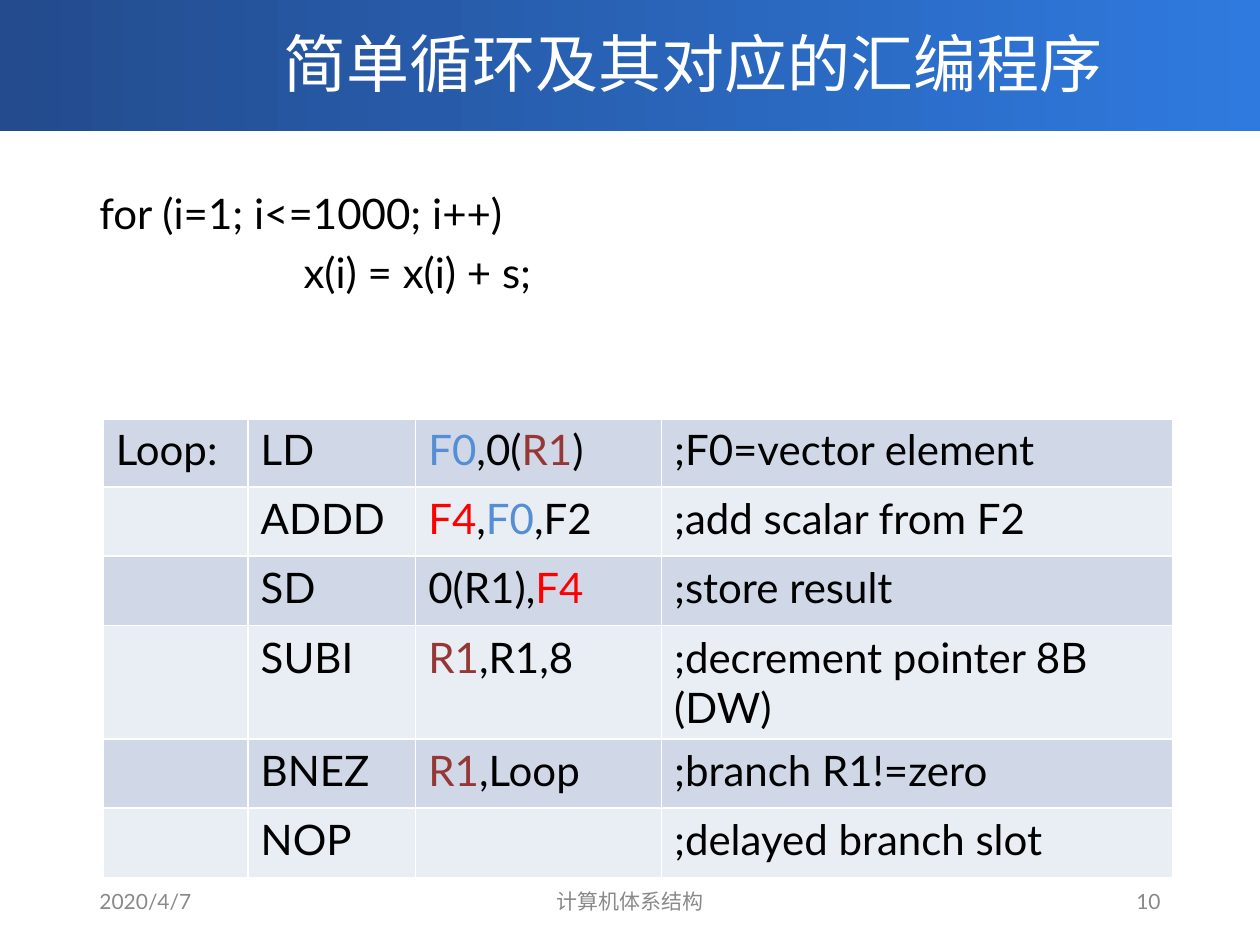
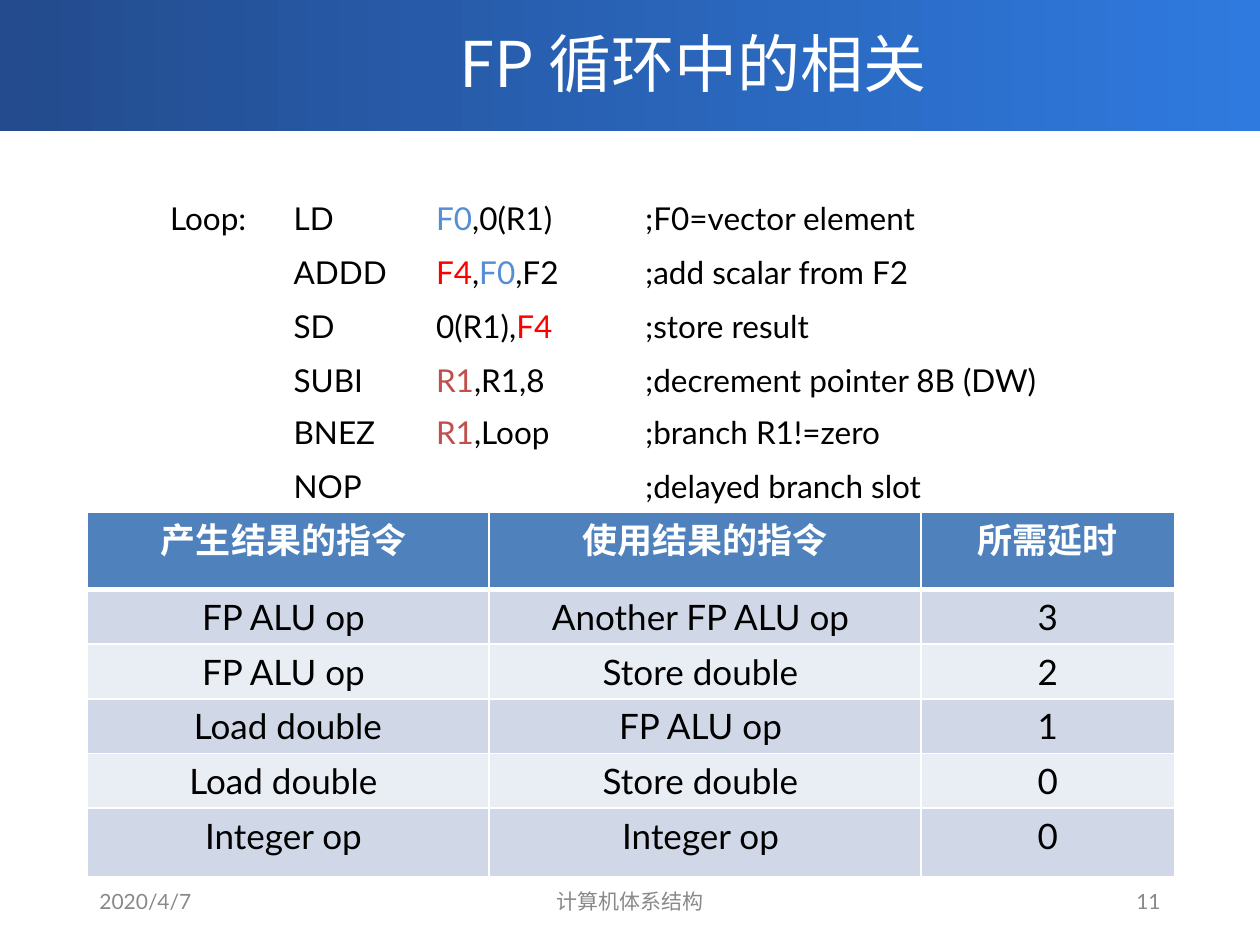
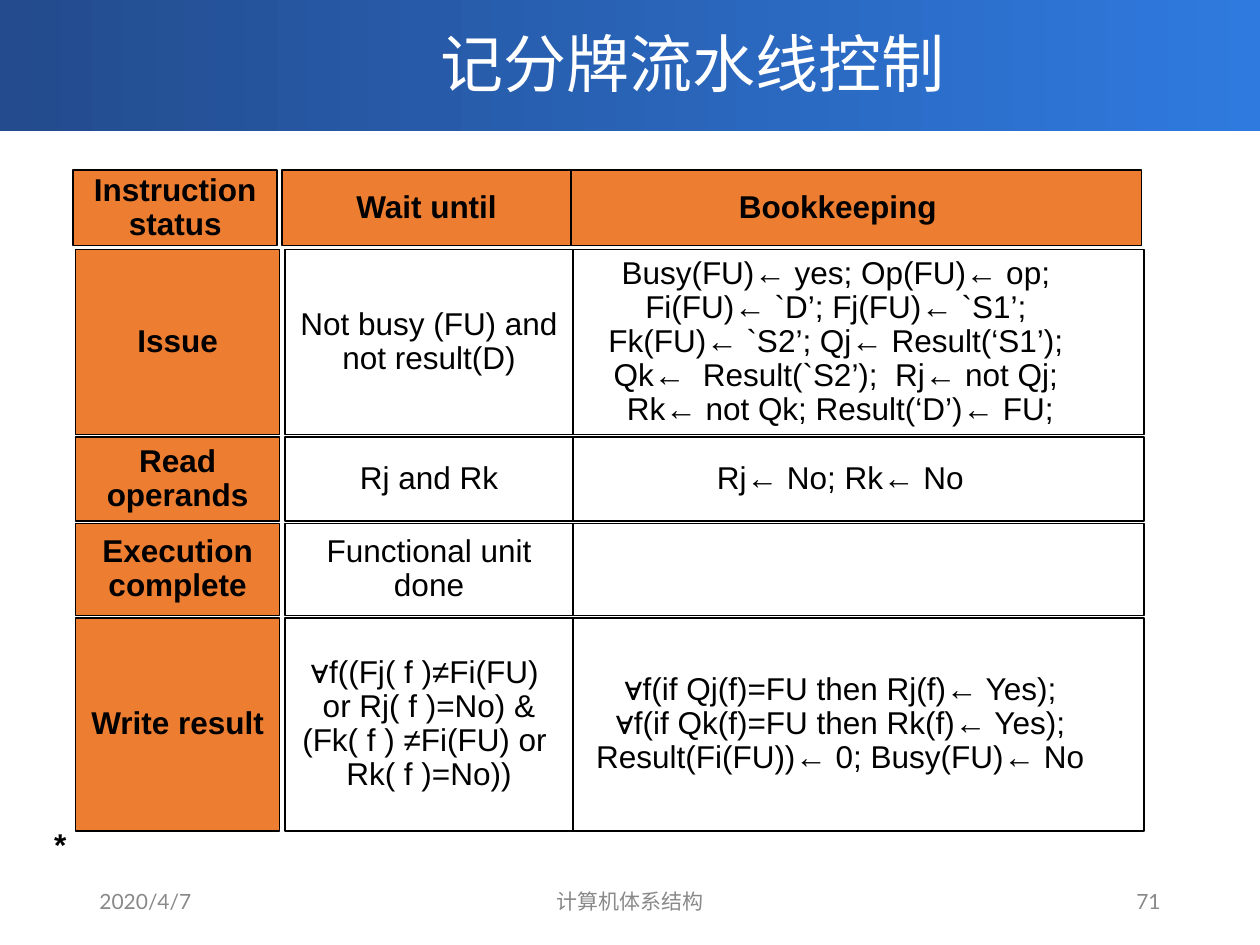
import dataclasses
import typing

import pptx
import pptx.dml.color
import pptx.enum.shapes
import pptx.enum.text
import pptx.oxml.ns
import pptx.util
from lxml import etree

Pt = pptx.util.Pt
Align = pptx.enum.text.PP_ALIGN
Anchor = pptx.enum.text.MSO_ANCHOR


@dataclasses.dataclass(frozen=True)
class Theme:
    band_start: str = "234B8D"
    band_end: str = "2F7ADF"
    white: str = "FFFFFF"
    ink: str = "000000"
    footer: str = "898989"
    header: str = "4F81BD"
    stripes: tuple = ("D0D8E8", "E9EDF4")
    label: str = "ED7D31"
    loaded: str = "558ED5"
    added: str = "FF0000"
    pointer_dark: str = "953735"
    pointer_light: str = "C0504D"
    title_font: str = "Noto Sans CJK SC"
    body_font: str = "Lato"
    board_font: str = "Arial"
    title_size: int = 36
    code_size: int = 24
    table_size: int = 20
    small_size: int = 18
    footer_size: int = 12


class Box(typing.NamedTuple):
    left: float
    top: float
    width: float
    height: float

    def lengths(self):
        return [Pt(value) for value in self]


THEME = Theme()
WIDTH, HEIGHT = 720, 540


def rgb(value):
    return pptx.dml.color.RGBColor.from_string(value)


def set_values(target, values):
    for name, value in values.items():
        setattr(target, name, value)


def style(size, font=THEME.body_font, color=THEME.ink, bold=False, **paragraph_values):
    return {"size": size, "font": font, "color": color, "bold": bold,
            "paragraph": paragraph_values}


def add_run(paragraph, text, color, look):
    run = paragraph.add_run()
    run.text = text
    set_values(run.font, {"size": Pt(look["size"]), "name": look["font"], "bold": look["bold"]})
    run.font.color.rgb = rgb(color)
    east_asian = etree.SubElement(run._r.get_or_add_rPr(), pptx.oxml.ns.qn("a:ea"))
    east_asian.set("typeface", look["font"])


def write(paragraph, content, look):
    set_values(paragraph, look["paragraph"])
    parts = [(content, look["color"])] if isinstance(content, str) else content
    for text, color in parts:
        for index, line in enumerate(text.split("\n")):
            if index:
                paragraph.add_line_break()
            if line:
                add_run(paragraph, line, color, look)


def add_text(slide, box, lines, look, anchor=Anchor.TOP):
    frame = slide.shapes.add_textbox(*box.lengths()).text_frame
    set_values(frame, {"word_wrap": True, "vertical_anchor": anchor})
    for index, line in enumerate(lines):
        paragraph = frame.add_paragraph() if index else frame.paragraphs[0]
        write(paragraph, line, look)
        if index:
            paragraph.space_before = Pt(look["size"] * 0.2)


def add_rectangle(slide, box):
    shape = slide.shapes.add_shape(pptx.enum.shapes.MSO_SHAPE.RECTANGLE, *box.lengths())
    shape.shadow.inherit = False
    return shape


def add_band(slide, box, title):
    band = add_rectangle(slide, box)
    band.line.fill.background()
    band.fill.gradient()
    band.fill.gradient_angle = 0
    for stop, color in zip(band.fill.gradient_stops, (THEME.band_start, THEME.band_end)):
        stop.color.rgb = rgb(color)
    title_box = Box(box.left + 72, 0, box.width - 72, 71.3)
    look = style(THEME.title_size, THEME.title_font, THEME.white, alignment=Align.CENTER)
    add_text(slide, title_box, [title], look, Anchor.MIDDLE)


def add_footer(slide, box, number):
    side, middle = 162, 243.4
    fields = (
        ("2020/4/7", 0, side, Align.LEFT),
        ("计算机体系结构", (box.width - middle) / 2, middle, Align.CENTER),
        (number, box.width - side, side, Align.RIGHT),
    )
    for text, offset, width, alignment in fields:
        look = style(THEME.footer_size, color=THEME.footer, alignment=alignment)
        add_text(slide, Box(box.left + offset, box.top, width, box.height), [text], look,
                 Anchor.MIDDLE)


def new_slide(presentation, title, number):
    slide = presentation.slides.add_slide(presentation.slide_layouts[6])
    add_band(slide, Box(0, -2.2, WIDTH, 77), title)
    add_footer(slide, Box(49.7, 500.4, 620.6, 28.8), number)
    return slide


def set_borders(cell, bottom_width):
    properties = cell._tc.get_or_add_tcPr()
    for side, width in (("L", 1), ("R", 1), ("T", 1), ("B", bottom_width)):
        line = etree.SubElement(properties, pptx.oxml.ns.qn(f"a:ln{side}"), w=str(Pt(width)))
        fill = etree.SubElement(line, pptx.oxml.ns.qn("a:solidFill"))
        etree.SubElement(fill, pptx.oxml.ns.qn("a:srgbClr"), val=THEME.white)


def add_grid(slide, left, top, widths, heights, rows, looks, fills):
    box = Box(left, top, sum(widths), sum(heights))
    table = slide.shapes.add_table(len(rows), len(widths), *box.lengths()).table
    set_values(table, {"first_row": False, "horz_banding": False})
    for column, width in zip(table.columns, widths):
        column.width = Pt(width)
    for index, (row, height) in enumerate(zip(rows, heights)):
        table.rows[index].height = Pt(height)
        for cell, content in zip(table.rows[index].cells, row):
            set_borders(cell, 1 if index else 3)
            if fills[index]:
                cell.fill.solid()
                cell.fill.fore_color.rgb = rgb(fills[index])
            else:
                cell.fill.background()
            write(cell.text_frame.paragraphs[0], content, looks[min(index, 1)])


def striped(header, count):
    return [header] + [THEME.stripes[index % 2] for index in range(count)]


def loop_rows(pointer, load_pointer):
    ink = THEME.ink
    loaded, added = ("F0", THEME.loaded), ("F4", THEME.added)
    return [
        ("", "", "", ""),
        ("Loop:", "LD", [loaded, (",0(", ink), ("R1", load_pointer), (")", ink)],
         ";F0=vector element"),
        ("", "ADDD", [added, (",", ink), loaded, (",F2", ink)], ";add scalar from F2"),
        ("", "SD", [("0(R1),", ink), added], ";store result"),
        ("", "SUBI", [("R1", pointer), (",R1,8", ink)], ";decrement pointer 8B (DW)"),
        ("", "BNEZ", [("R1", pointer), (",Loop", ink)], ";branch R1!=zero"),
        ("", "NOP", "", ";delayed branch slot"),
    ]


def build_loop_slide(presentation):
    slide = new_slide(presentation, "简单循环及其对应的汇编程序", "10")
    look = style(THEME.code_size)
    source = ["for (i=1; i<=1000; i++)", "                   x(i) = x(i) + s;"]
    add_text(slide, Box(49.7, 103.7, 638, 82.8), source, look)
    rows = loop_rows(THEME.pointer_dark, THEME.pointer_dark)
    heights = [39.6] * 4 + [43.2] + [39.6] * 2
    add_grid(slide, 59, 199, [82.8, 95.8, 140.4, 292.3], heights, rows, [look, look],
             striped(None, 6))


def build_dependence_slide(presentation):
    slide = new_slide(presentation, "FP 循环中的相关", "11")
    code = style(THEME.small_size)
    heights = [12.2] + [31] * 3 + [29.5] + [31] * 2
    add_grid(slide, 90, 81.4, [70.6, 81.4, 119.5, 248.4], heights,
             loop_rows(THEME.pointer_light, THEME.ink), [code, code], [None] * 7)
    delays = [
        ("产生结果的指令 ", "使用结果的指令", "所需延时"),
        ("FP ALU op ", "Another FP ALU op ", "3"),
        ("FP ALU op ", "Store double ", "2"),
        ("Load double", "FP ALU op ", "1"),
        ("Load double ", "Store double ", "0"),
        ("Integer op ", "Integer op ", "0"),
    ]
    looks = [
        style(THEME.table_size, color=THEME.white, bold=True, alignment=Align.CENTER),
        style(THEME.table_size, alignment=Align.CENTER),
    ]
    add_grid(slide, 49.7, 293, [229.7, 247, 144.7], [43.9] + [30.2] * 4 + [38.9], delays, looks,
             striped(THEME.header, 5))


def add_board_cell(slide, box, text, is_label):
    shape = add_rectangle(slide, box)
    shape.fill.solid()
    shape.fill.fore_color.rgb = rgb(THEME.label if is_label else THEME.white)
    shape.line.color.rgb = rgb(THEME.ink)
    shape.line.width = Pt(1)
    set_values(shape.text_frame, {"word_wrap": True, "vertical_anchor": Anchor.MIDDLE})
    look = style(THEME.small_size, THEME.board_font, bold=is_label, alignment=Align.CENTER,
                 line_spacing=0.9)
    write(shape.text_frame.paragraphs[0], text, look)


def add_board(slide, left, top, rows):
    header_height, header_shift, gap = 43.2, 1.4, 1.3
    heights = [105.8, 48.2, 52.6, 121.7]
    columns = [(0, 116.6), (263.5, 347), (119.5, 164.9)]
    tops = [top]
    y = top + header_height + 2.2
    for height in heights:
        tops.append(y)
        y += height + gap
    for column, (offset, width) in enumerate(columns):
        for index, (row, y, height) in enumerate(zip(rows, tops, [header_height] + heights)):
            x = left + offset - (0 if index else header_shift)
            add_board_cell(slide, Box(x, y, width, height), row[column],
                           index == 0 or column == 0)


def build_scoreboard_slide(presentation):
    slide = new_slide(presentation, "记分牌流水线控制", "71")
    rows = [
        ("Instruction status", "Bookkeeping", "Wait until"),
        ("Issue",
         "Busy(FU)← yes; Op(FU)← op; \nFi(FU)← `D’; Fj(FU)← `S1’; \n"
         "Fk(FU)← `S2’; Qj← Result(‘S1’); \nQk←  Result(`S2’);  Rj← not Qj; \n"
         "Rk← not Qk; Result(‘D’)← FU;",
         "Not busy (FU) and not result(D)"),
        ("Read operands", "Rj← No; Rk← No", "Rj and Rk"),
        ("Execution complete", "", "Functional unit done"),
        ("Write result",
         "∀f(if Qj(f)=FU then Rj(f)← Yes);\n∀f(if Qk(f)=FU then Rk(f)← Yes); "
         "Result(Fi(FU))← 0; Busy(FU)← No",
         "∀f((Fj( f )≠Fi(FU) \nor Rj( f )=No) & (Fk( f ) ≠Fi(FU) or \nRk( f )=No))"),
    ]
    add_board(slide, 43.2, 97.2, rows)
    add_text(slide, Box(23.8, 468, 534.2, 28.8), ["*"],
             style(THEME.small_size, THEME.board_font, bold=True))


def main():
    presentation = pptx.Presentation()
    set_values(presentation, {"slide_width": Pt(WIDTH), "slide_height": Pt(HEIGHT)})
    for build in (build_loop_slide, build_dependence_slide, build_scoreboard_slide):
        build(presentation)
    presentation.save("out.pptx")


if __name__ == "__main__":
    main()
